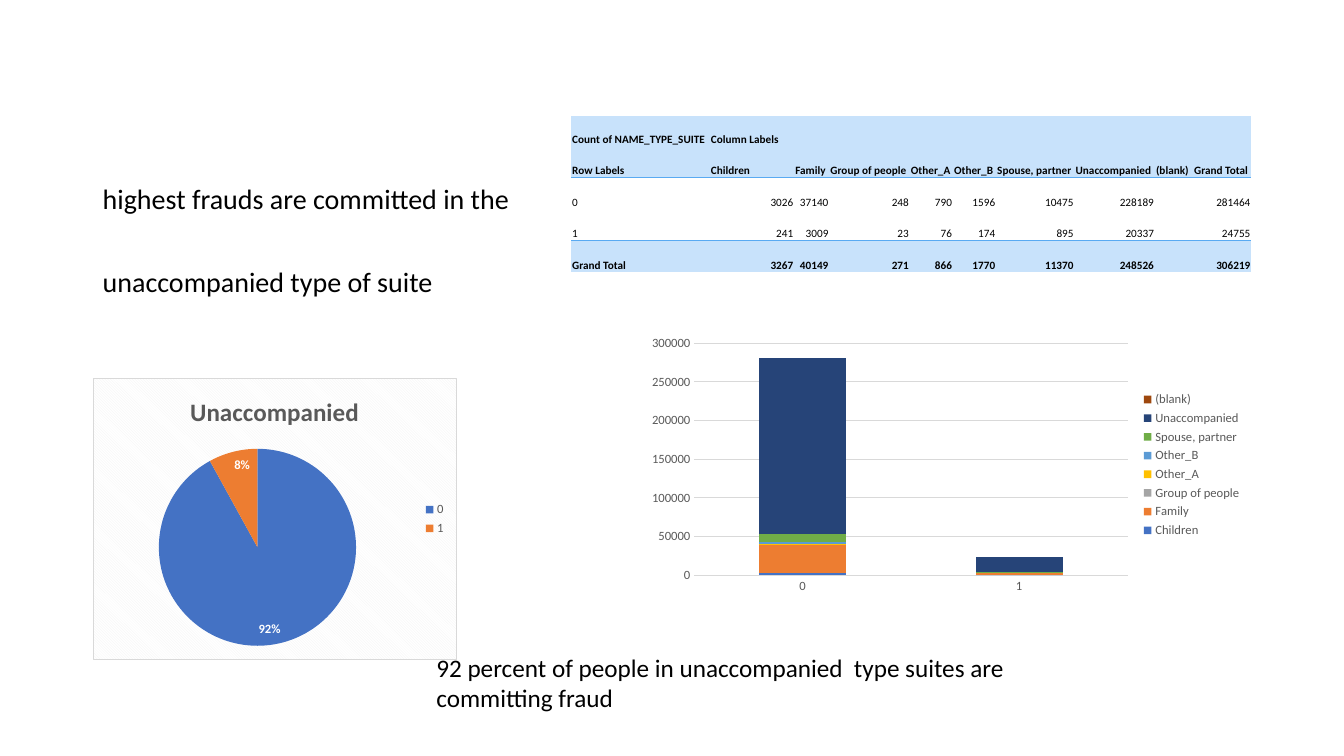
from lxml import etree
from pptx import Presentation
from pptx.chart.data import CategoryChartData
from pptx.dml.color import RGBColor
from pptx.enum.chart import (XL_CHART_TYPE as CT, XL_LABEL_POSITION as LP,
                             XL_LEGEND_POSITION as LEG, XL_TICK_MARK as TICK)
from pptx.enum.text import MSO_ANCHOR, PP_ALIGN
from pptx.oxml import parse_xml
from pptx.oxml.ns import nsdecls, qn
from pptx.util import Inches, Pt

BLACK = RGBColor(0x00, 0x00, 0x00)
WHITE = RGBColor(0xFF, 0xFF, 0xFF)
GREY = RGBColor(0x59, 0x59, 0x59)
PALE_GREY = RGBColor(0xD9, 0xD9, 0xD9)
STRIPE = RGBColor(0xF2, 0xF2, 0xF2)
PALE_BLUE = RGBColor(0xC8, 0xE2, 0xFB)
RULE_BLUE = RGBColor(0x59, 0xAA, 0xF2)
SERIES = [RGBColor.from_string(c) for c in (
    "4472C4", "ED7D31", "A5A5A5", "FFC000", "5B9BD5", "70AD47", "264478", "9E480E")]

# Data: suite types by fraud flag
SUITES = ["Children", "Family", "Group of people", "Other_A", "Other_B",
          "Spouse, partner", "Unaccompanied", "(blank)"]
COUNTS = {"0": [3026, 37140, 248, 790, 1596, 10475, 228189, None],
          "1": [241, 3009, 23, 76, 174, 895, 20337, None]}
TOTALS = [sum(pair) if all(pair) else None for pair in zip(*COUNTS.values())]


class Deck:
    """Style and current slide; boxes are percentages of the slide's size."""
    font = "Calibri"

    def __init__(self, prs):
        self.prs = prs
        self.slide = prs.slides.add_slide(prs.slide_layouts[6])

    def box(self, x, y, w, h):
        width, height = self.prs.slide_width, self.prs.slide_height
        return [int(v * full / 100) for v, full in
                ((x, width), (y, height), (w, width), (h, height))]

    def style(self, font, size, color=BLACK, bold=False):
        font.name, font.size, font.bold = self.font, Pt(size), bold
        font.color.rgb = color

    def text(self, box, lines, size, line_spacing=1.0, gap=0):
        tf = self.slide.shapes.add_textbox(*self.box(*box)).text_frame
        tf.word_wrap = True
        for i, line in enumerate(lines):
            p = tf.add_paragraph() if i else tf.paragraphs[0]
            p.text = line
            p.line_spacing = line_spacing
            p.space_before = Pt(gap if i else 0)
            self.style(p.font, size)

    def borders(self, cell, ruled):
        """Rule the named sides and clear the others."""
        solid = f'<a:solidFill><a:srgbClr val="{RULE_BLUE}"/></a:solidFill>'
        for i, side in enumerate(("lnL", "lnR", "lnT", "lnB")):
            cell._tc.get_or_add_tcPr().insert(i, parse_xml(
                f'<a:{side} {nsdecls("a")} w="{Pt(0.5)}">'
                f'{solid if side in ruled else "<a:noFill/>"}</a:{side}>'))

    def table(self, box, rows, col_shares, row_shares, shaded, ruled):
        """Rows in shaded are bold and filled; a rule runs under rows in ruled."""
        x, y, w, h = self.box(*box)
        table = self.slide.shapes.add_table(
            len(rows), len(col_shares), x, y, w, h).table
        table.first_row = table.horz_banding = False
        # No style, no grid
        table._tbl.tblPr.find(qn("a:tableStyleId")).text = \
            "{2D5ABB26-0587-4C30-8999-92F81FD0307C}"
        for col, share in zip(table.columns, col_shares):
            col.width = int(w * share / sum(col_shares))
        for row, share in zip(table.rows, row_shares):
            row.height = int(h * share / sum(row_shares))
        for i, row in enumerate(rows):
            sides = ["lnT"] * (i - 1 in ruled) + ["lnB"] * (i in ruled)
            for j, value in enumerate(row):
                self.cell(table.cell(i, j), value, i in shaded)
                self.borders(table.cell(i, j), sides)

    def cell(self, cell, value, shaded):
        cell.margin_left = cell.margin_right = cell.margin_top = Inches(0.01)
        cell.margin_bottom = 0
        cell.vertical_anchor = MSO_ANCHOR.BOTTOM
        if shaded:
            cell.fill.solid()
            cell.fill.fore_color.rgb = PALE_BLUE
        else:
            cell.fill.background()
        p = cell.text_frame.paragraphs[0]
        if value is None:
            end = etree.SubElement(p._p, qn("a:endParaRPr"))
            end.set("sz", "800")
            return
        p.text = str(value)
        p.alignment = PP_ALIGN.RIGHT if isinstance(value, int) else PP_ALIGN.LEFT
        self.style(p.font, 8, bold=shaded)

    def chart(self, kind, box, series):
        data = CategoryChartData()
        data.categories = list(COUNTS)
        for name, values in series:
            data.add_series(name, values)
        chart = self.slide.shapes.add_chart(kind, *self.box(*box), data).chart
        self.style(chart.font, 10)
        chart.has_title = False
        chart.has_legend = True
        chart.legend.position = LEG.RIGHT
        chart.legend.include_in_layout = False
        self.style(chart.legend.font, 9, GREY)
        return chart

    def stacked_columns(self, box, series):
        chart = self.chart(CT.COLUMN_STACKED, box, series)
        plot = chart.plots[0]
        plot.gap_width, plot.overlap = 150, 100
        plot.vary_by_categories = False
        for ser, color in zip(plot.series, SERIES):
            ser.format.fill.solid()
            ser.format.fill.fore_color.rgb = color
        for axis in (chart.category_axis, chart.value_axis):
            axis.major_tick_mark = axis.minor_tick_mark = TICK.NONE
            self.style(axis.tick_labels.font, 9, GREY)
        chart.value_axis.format.line.fill.background()
        for part in (chart.category_axis, chart.value_axis.major_gridlines):
            part.format.line.color.rgb = PALE_GREY
            part.format.line.width = Pt(0.75)

    def pie(self, box, name, values):
        chart = self.chart(CT.PIE, box, [(name, values)])
        chart.has_title = True
        p = chart.chart_title.text_frame.paragraphs[0]
        p.text = name
        self.style(p.font, 18, GREY, True)
        plot = chart.plots[0]
        plot.vary_by_categories = True
        for i in range(len(values)):
            fill = plot.series[0].points[i].format.fill
            fill.solid()
            fill.fore_color.rgb = SERIES[i]
        plot.has_data_labels = True
        labels = plot.data_labels
        labels.show_percentage, labels.show_value = True, False
        labels.number_format, labels.number_format_is_linked = "0%", False
        labels.position = LP.INSIDE_END
        self.style(labels.font, 9, WHITE, True)
        # Striped chart area with a thin border
        chart._chartSpace.find(qn("c:txPr")).addprevious(parse_xml(
            f'<c:spPr {nsdecls("c", "a")}><a:pattFill prst="dkDnDiag">'
            f'<a:fgClr><a:srgbClr val="{STRIPE}"/></a:fgClr>'
            f'<a:bgClr><a:srgbClr val="{WHITE}"/></a:bgClr></a:pattFill>'
            f'<a:ln w="{Pt(0.75)}"><a:solidFill><a:srgbClr val="{PALE_GREY}"/>'
            '</a:solidFill></a:ln></c:spPr>'))


def main():
    prs = Presentation()
    prs.slide_width, prs.slide_height = Inches(13.33), Inches(7.5)
    s = Deck(prs)

    # Pivot table
    rows = [["Count of NAME_TYPE_SUITE", "Column Labels"] + [None] * len(SUITES),
            ["Row Labels", *SUITES, "Grand Total"]]
    for label, counts in [*COUNTS.items(), ("Grand Total", TOTALS)]:
        rows.append([label, *counts, sum(filter(None, counts))])
    s.table((42.5, 15.33, 50.63, 20.67), rows,
            [1.38, 0.84, 0.35, 0.8, 0.43, 0.43, 0.78, 0.8, 0.38, 0.58],
            [0.3] + [0.31] * 4, shaded=(0, 1, 4), ruled=(1, 3))

    # Headline
    s.text((6.9, 23.87, 32.25, 61.73),
           ["highest frauds are committed in the", "unaccompanied type of suite"],
           20, line_spacing=0.9, gap=37.5)

    # Charts: counts to the nearest thousand, shares in whole percent
    by_suite = [(suite, [None if n is None else round(n, -3) for n in pair])
                for suite, pair in zip(SUITES, zip(*COUNTS.values()))]
    s.stacked_columns((47.6, 43.7, 45.53, 35.6), by_suite)
    s.pie((6.9, 50, 27.08, 37.33), "Unaccompanied", [92, 8])

    # Conclusion
    s.text((31.73, 85.6, 51.38, 9.47),
           ["92 percent of people in unaccompanied  type suites are committing fraud"], 18)
    prs.save("out.pptx")


if __name__ == "__main__":
    main()
